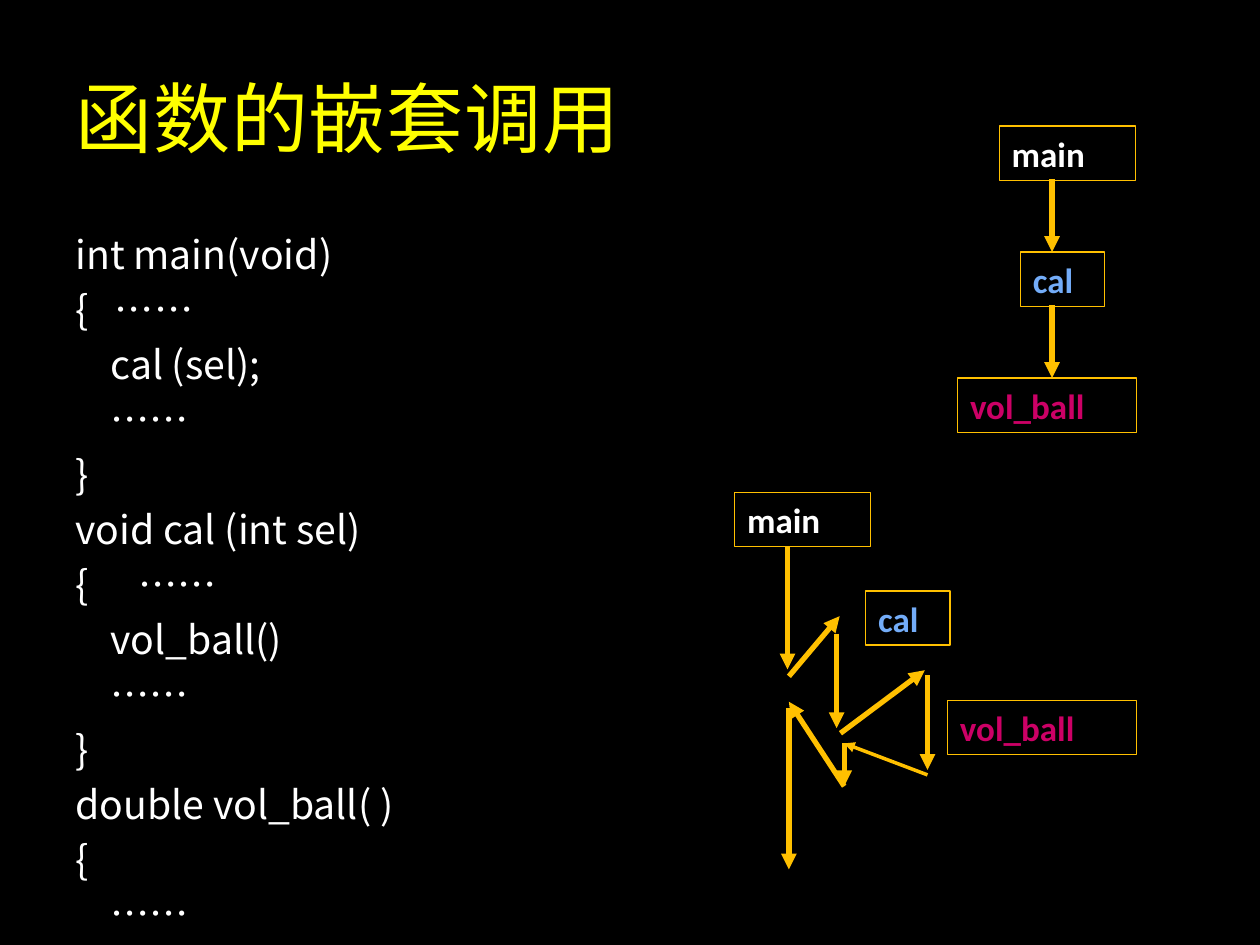
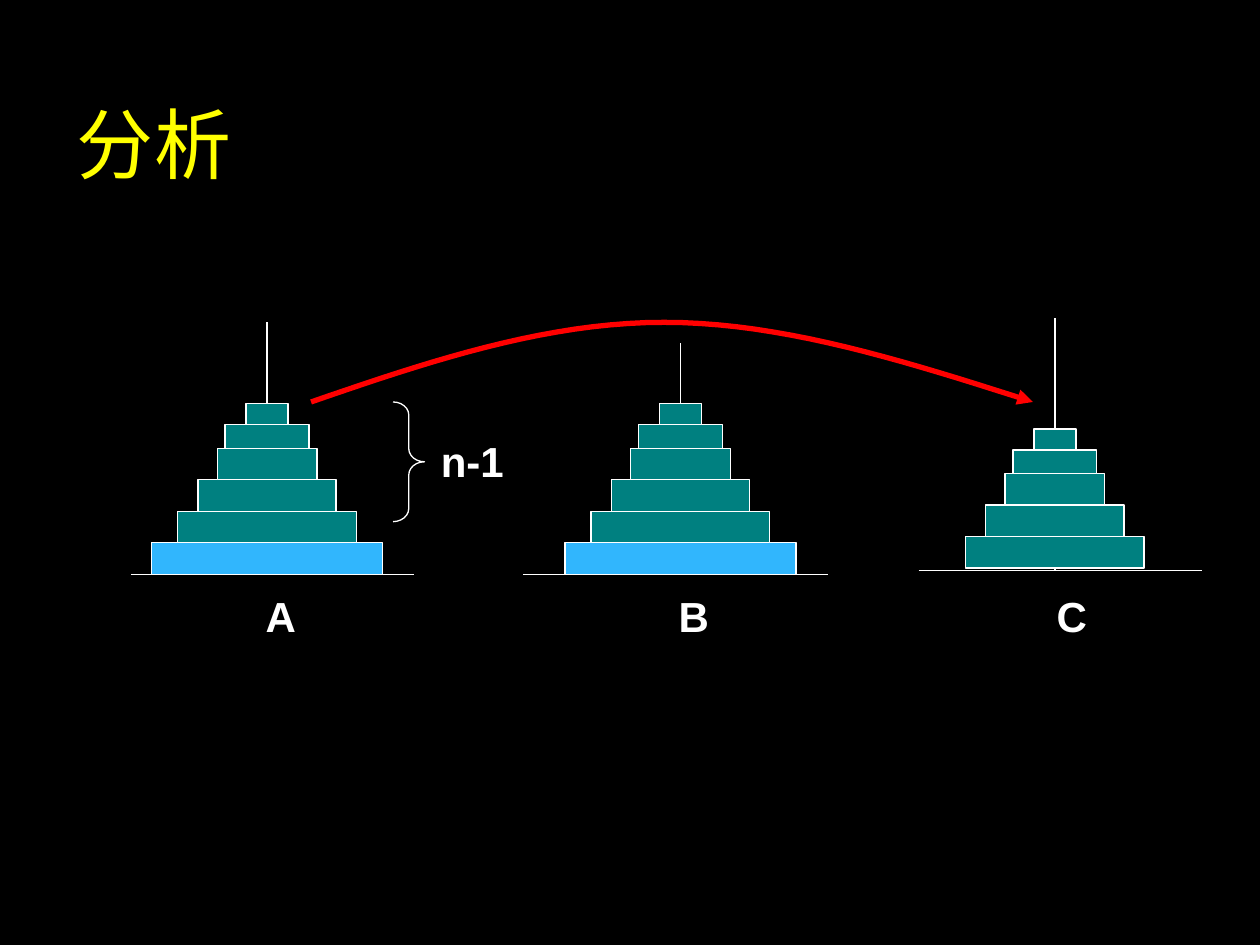
import pptx
import pptx.dml.color
import pptx.enum.shapes
import pptx.enum.text
import pptx.oxml.ns
import pptx.util
from lxml import etree

Pt = pptx.util.Pt
SHAPES = pptx.enum.shapes.MSO_SHAPE
ALIGN = pptx.enum.text.PP_ALIGN
ANCHOR = pptx.enum.text.MSO_ANCHOR
qn = pptx.oxml.ns.qn

BLACK, WHITE, YELLOW = "000000", "FFFFFF", "FFFF00"
AMBER, SKY, MAGENTA = "FFC000", "73ACF8", "CC0066"
TEAL, BLUE, RED = "008080", "31B6FD", "FF0000"
CJK_FONT = "Noto Sans CJK SC"

CODE_LINES = [
    "int main(void)",
    "{   ……",
    "    cal (sel);",
    "    ……",
    "}",
    "void cal (int sel)",
    "{\t……",
    "    vol_ball()",
    "    ……",
    "}",
    "double vol_ball( )",
    "{",
    "    ……",
]

FUNCTION_COLORS = {"main": WHITE, "cal": SKY, "vol_ball": MAGENTA}
BOX_HEIGHT = 31

# Disk width and height, from the bottom up
SMALL_DISKS = [(102, 18), (79, 18), (57, 18), (48, 13.5), (24, 12)]
LARGE_DISK = (132, 18)


def color(hex_string):
    return pptx.dml.color.RGBColor.from_string(hex_string)


def add_run(paragraph, text, size, font_name, hex_color, bold=False):
    run = paragraph.add_run()
    run.text = text
    run.font.size = Pt(size)
    run.font.name = font_name
    run.font.bold = bold
    run.font.color.rgb = color(hex_color)
    east_asian = etree.SubElement(run.font._element, qn("a:ea"))
    east_asian.set("typeface", CJK_FONT)
    return run


def add_text_box(slide, left, top, width, height):
    text_box = slide.shapes.add_textbox(Pt(left), Pt(top), Pt(width), Pt(height))
    text_box.text_frame.word_wrap = True
    return text_box.text_frame


def set_line(shape, hex_color, width):
    shape.line.color.rgb = color(hex_color)
    shape.line.width = Pt(width)


def add_arrowhead(shape):
    outline = shape.element.spPr.find(qn("a:ln"))
    etree.SubElement(outline, qn("a:tailEnd")).set("type", "triangle")


def add_line(slide, start, end, hex_color, width):
    connector = slide.shapes.add_connector(
        pptx.enum.shapes.MSO_CONNECTOR.STRAIGHT,
        Pt(start[0]), Pt(start[1]), Pt(end[0]), Pt(end[1]))
    set_line(connector, hex_color, width)
    etree.SubElement(connector.element.spPr, qn("a:effectLst"))
    return connector


def add_arrow(slide, start, end, width=3):
    add_arrowhead(add_line(slide, start, end, AMBER, width))


def add_outlined_shape(slide, kind, left, top, width, height, line_color, fill=None):
    shape = slide.shapes.add_shape(kind, Pt(left), Pt(top), Pt(width), Pt(height))
    shape.shadow.inherit = False
    set_line(shape, line_color, 0.75)
    if fill:
        shape.fill.solid()
        shape.fill.fore_color.rgb = color(fill)
    else:
        shape.fill.background()
    return shape


def add_titled_slide(presentation, title, left, top, width, height):
    slide = presentation.slides.add_slide(presentation.slide_layouts[6])
    slide.background.fill.solid()
    slide.background.fill.fore_color.rgb = color(BLACK)
    frame = add_text_box(slide, left, top, width, height)
    frame.vertical_anchor = ANCHOR.MIDDLE
    run = add_run(frame.paragraphs[0], title, 44, "Arial", YELLOW)
    run.font._element.set("spc", "50")
    return slide


def add_code(slide, left, top, width, height):
    frame = add_text_box(slide, left, top, width, height)
    for index, code_line in enumerate(CODE_LINES):
        paragraph = frame.add_paragraph() if index else frame.paragraphs[0]
        paragraph.line_spacing = Pt(26.9)
        paragraph.space_before = Pt(4.5 if index else 0)
        add_run(paragraph, code_line, 22.4, CJK_FONT, WHITE)


def add_function_box(slide, name, left, top, width):
    box = add_outlined_shape(slide, SHAPES.RECTANGLE, left, top, width, BOX_HEIGHT, AMBER)
    frame = box.text_frame
    frame.word_wrap = True
    frame.vertical_anchor = ANCHOR.TOP
    paragraph = frame.paragraphs[0]
    paragraph.alignment = ALIGN.LEFT
    add_run(paragraph, name, 20, "Calibri", FUNCTION_COLORS[name], bold=True)


def add_call_chain(slide, left, top):
    """Stack the three functions, each calling the one below it."""
    step = 72
    boxes = [("main", 23.8, 77.8), ("cal", 36, 48.2), ("vol_ball", 0, 102.2)]
    for index, (name, offset, width) in enumerate(boxes):
        add_function_box(slide, name, left + offset, top + index * step, width)
    arrow_x = left + 54
    for index in range(len(boxes) - 1):
        box_top = top + index * step
        add_arrow(slide, (arrow_x, box_top + BOX_HEIGHT - 0.8), (arrow_x, box_top + step))


def add_call_trace(slide, left, top):
    """Show the order in which control enters and leaves each function."""
    arrows = [
        (30.2, 31, 30.2, 101, 3),
        (31, 105, 60, 70.6, 3),
        (58.3, 80.6, 58.3, 134.6, 3),
        (62.6, 167.8, 31, 119.5, 3),
        (31, 123, 31, 215.3, 3),
        (60.5, 137.5, 108.7, 101.5, 3),
        (110.2, 104.4, 110.2, 158.4, 3),
        (110.2, 161.3, 62.6, 143.3, 2),
        (62.6, 143.3, 62.6, 167.8, 3),
    ]
    for x1, y1, x2, y2, width in arrows:
        add_arrow(slide, (left + x1, top + y1), (left + x2, top + y2), width)
    add_function_box(slide, "main", left, top, 77.8)
    add_function_box(slide, "cal", left + 75, top + 56.2, 48.2)
    add_function_box(slide, "vol_ball", left + 121.7, top + 118.8, 108)


def add_label(slide, text, left, top, width, alignment):
    frame = add_text_box(slide, left, top, width, 36)
    paragraph = frame.paragraphs[0]
    paragraph.alignment = alignment
    add_run(paragraph, text, 24, "Arial", WHITE, bold=True)


def add_tower(slide, name, peg_x, base_y, peg_height, base_left, disks, gap, label_x):
    """Stack the disks on a peg; base_left is how far the base reaches to its left."""
    add_line(slide, (peg_x - base_left, base_y), (peg_x + 84.2, base_y), WHITE, 0.75)
    add_line(slide, (peg_x, base_y), (peg_x, base_y - peg_height), WHITE, 0.75)
    disk_top = base_y - gap
    for disk in disks:
        width, height = disk
        disk_top -= height
        add_outlined_shape(slide, SHAPES.RECTANGLE, peg_x - width / 2, disk_top,
                           width, height, WHITE, BLUE if disk == LARGE_DISK else TEAL)
    add_label(slide, name, label_x - 25, 334, 50, ALIGN.CENTER)


def add_disk_count(slide, left, top):
    brace = add_outlined_shape(slide, SHAPES.RIGHT_BRACE, left, top, 18, 68.4, WHITE)
    brace.adjustments[0] = 0.417
    add_label(slide, "n-1", left + 20.2, top + 15.8, 54, ALIGN.LEFT)


def add_move_arc(slide, left, top, width, height):
    """Draw a curved arrow made of two cubic halves that meet at the top."""
    halves = [
        [(0, 1), (0.16, 0.5), (0.323, 0), (0.489, 0)],
        [(0.489, 0), (0.656, 0), (0.827, 0.5), (1, 1)],
    ]
    steps = 20
    points = []
    for half in halves:
        for step in range(steps + 1):
            t = step / steps
            weights = [(1 - t) ** 3, 3 * t * (1 - t) ** 2, 3 * t * t * (1 - t), t ** 3]
            x = sum(weight * point[0] for weight, point in zip(weights, half))
            y = sum(weight * point[1] for weight, point in zip(weights, half))
            points.append((Pt(left + x * width), Pt(top + y * height)))
    builder = slide.shapes.build_freeform(*points[0])
    builder.add_line_segments(points[1:], close=False)
    arc = builder.convert_to_shape()
    arc.shadow.inherit = False
    arc.fill.background()
    set_line(arc, RED, 3)
    add_arrowhead(arc)


def build_nested_calls(presentation):
    slide = add_titled_slide(presentation, "函数的嵌套调用", 36, 21.6, 612, 90)
    add_code(slide, 36, 128, 306.7, 405)
    add_call_trace(slide, 419.8, 281.5)
    add_call_chain(slide, 547.2, 72)


def build_tower_analysis(presentation):
    slide = add_titled_slide(presentation, "分析", 36.7, 43.2, 139, 76.3)
    full_tower = [LARGE_DISK] + SMALL_DISKS
    add_tower(slide, "A", 152.6, 328.2, 144, 77.8, full_tower, 0, 160.5)
    add_tower(slide, "B", 388.8, 328.2, 132.4, 90, full_tower, 0, 396.5)
    add_tower(slide, "C", 602.8, 326, 144, 77.8, SMALL_DISKS, 1.4, 612.5)
    add_disk_count(slide, 224.6, 229.7)
    add_move_arc(slide, 177.8, 184.2, 412.5, 45.5)


def main():
    presentation = pptx.Presentation()
    presentation.slide_width = Pt(720)
    presentation.slide_height = Pt(540)
    build_nested_calls(presentation)
    build_tower_analysis(presentation)
    presentation.save("out.pptx")


if __name__ == "__main__":
    main()
